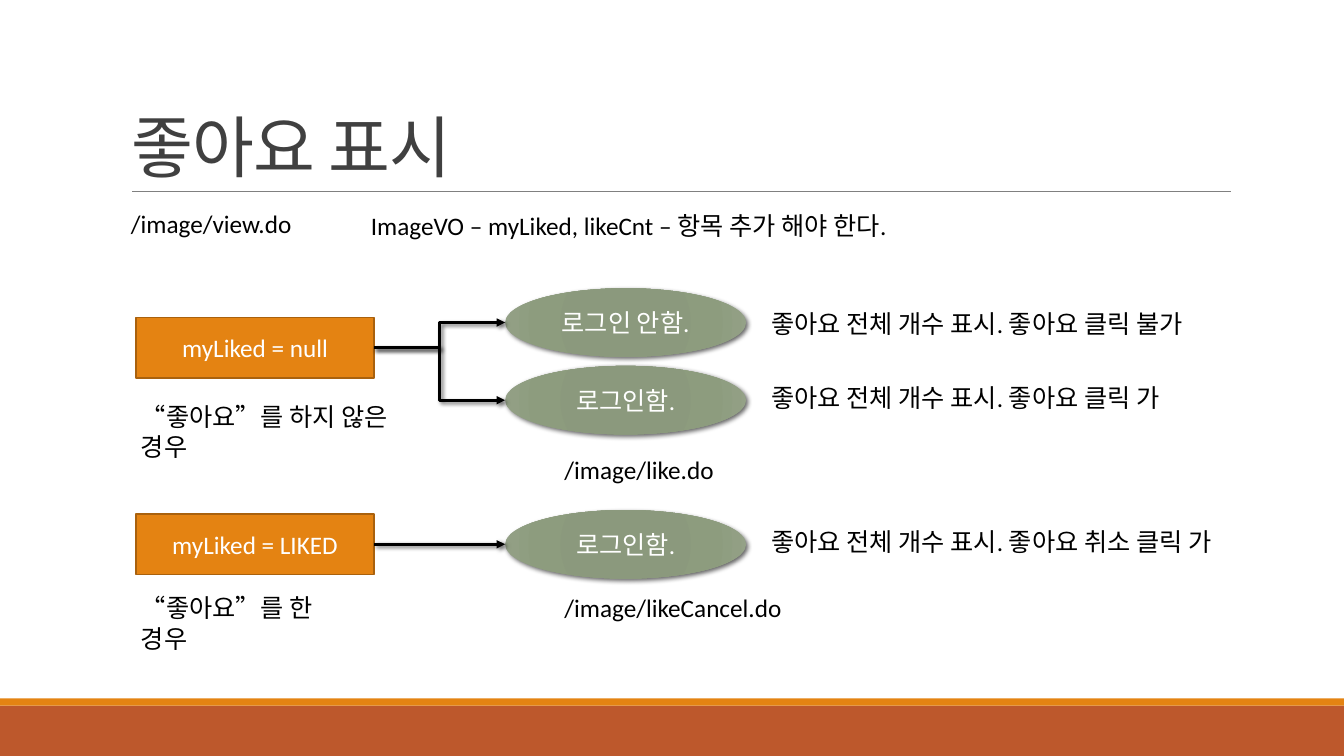
from dataclasses import dataclass

from lxml import etree
from pptx import Presentation
from pptx.dml.color import RGBColor
from pptx.enum.shapes import MSO_CONNECTOR, MSO_SHAPE
from pptx.enum.text import MSO_ANCHOR, MSO_AUTO_SIZE, PP_ALIGN
from pptx.oxml import parse_xml
from pptx.oxml.ns import nsdecls, qn
from pptx.util import Inches, Pt

RECT, OVAL = MSO_SHAPE.RECTANGLE, MSO_SHAPE.OVAL
ELBOW, STRAIGHT = MSO_CONNECTOR.ELBOW, MSO_CONNECTOR.STRAIGHT
LEFT, CENTER = PP_ALIGN.LEFT, PP_ALIGN.CENTER
MIDDLE, BOTTOM = MSO_ANCHOR.MIDDLE, MSO_ANCHOR.BOTTOM
FIT_TEXT = MSO_AUTO_SIZE.SHAPE_TO_FIT_TEXT

BLACK = RGBColor(0x00, 0x00, 0x00)
WHITE = RGBColor(0xFF, 0xFF, 0xFF)
DARK_GRAY = RGBColor(0x40, 0x40, 0x40)
GRAY = RGBColor(0x80, 0x80, 0x80)
ORANGE = RGBColor(0xE4, 0x83, 0x12)
BROWN = RGBColor(0xA9, 0x61, 0x0D)
RUST = RGBColor(0xBD, 0x58, 0x2C)
GREENS = ((0, RGBColor(0x8A, 0x98, 0x7B)), (34, RGBColor(0x8B, 0x99, 0x7D)),
          (70, RGBColor(0x8D, 0x9C, 0x7E)), (100, RGBColor(0x94, 0xA1, 0x87)))

FONT = "Calibri"
STATE_X, STATE_W, STATE_H = 1.35, 2.36, 0.6
LOGIN_X, LOGIN_W, LOGIN_H = 5.01, 2.39, 0.68
RESULT_X, LABEL_H = 7.55, 0.4


@dataclass
class Label:
    x: float
    y: float
    w: float
    text: str
    wrap: bool = False


@dataclass
class Login:
    y: float
    text: str
    result: Label


@dataclass
class State:
    y: float
    text: str
    logins: list[Login]


STATES = [
    State(3.15, "myLiked = null", [
        Login(2.86, "로그인 안함.",
              Label(RESULT_X, 3.01, 4.65, "좋아요 전체 개수 표시. 좋아요 클릭 불가")),
        Login(3.63, "로그인함.",
              Label(RESULT_X, 3.74, 4.4, "좋아요 전체 개수 표시. 좋아요 클릭 가")),
    ]),
    State(5.1, "myLiked = LIKED", [
        Login(5.06, "로그인함.",
              Label(RESULT_X, 5.17, 4.96, "좋아요 전체 개수 표시. 좋아요 취소 클릭 가")),
    ]),
]

LABELS = [
    Label(1.2, 2.02, 1.81, "/image/view.do"),
    Label(3.58, 2.04, 5.54, "ImageVO – myLiked, likeCnt – 항목 추가 해야 한다."),
    Label(1.3, 3.93, 3.16, "“좋아요”를 하지 않은 경우"),
    Label(1.3, 5.83, 2, "“좋아요”를 한 경우", wrap=True),
    Label(5.5, 4.46, 1.7, "/image/like.do"),
    Label(5.5, 5.83, 2.38, "/image/likeCancel.do"),
]


def add_text(tf, text: str, color: RGBColor, align=LEFT, size: float = 18):
    p = tf.paragraphs[0]
    p.alignment = align
    r = p.add_run()
    r.text = text
    r.font.name, r.font.size = FONT, Pt(size)
    r.font.color.rgb = color
    return r


def add_label(slide, label: Label) -> None:
    box = slide.shapes.add_textbox(Inches(label.x), Inches(label.y),
                                   Inches(label.w), Inches(LABEL_H))
    tf = box.text_frame
    tf.word_wrap = label.wrap
    tf.auto_size = FIT_TEXT
    add_text(tf, label.text, BLACK)


def add_block(slide, kind, x: float, y: float, w: float, h: float,
              fill: RGBColor | None = None, text: str = ""):
    sp = slide.shapes.add_shape(kind, Inches(x), Inches(y), Inches(w), Inches(h))
    sp.shadow.inherit = False
    sp.line.fill.background()
    if fill is not None:
        sp.fill.solid()
        sp.fill.fore_color.rgb = fill
    if text:
        sp.text_frame.word_wrap = True
        sp.text_frame.vertical_anchor = MIDDLE
        add_text(sp.text_frame, text, WHITE, CENTER)
    return sp


def add_effects(sp, blur: float | None = None) -> None:
    """Set the effect list: empty, or one soft shadow to the lower right."""
    sp_pr = sp._element.spPr
    for old in sp_pr.findall(qn("a:effectLst")):
        sp_pr.remove(old)
    effects = etree.SubElement(sp_pr, qn("a:effectLst"))
    if blur is not None:
        effects.append(parse_xml(
            f'<a:outerShdw {nsdecls("a")} blurRad="{Pt(blur)}" dist="{Pt(2)}" '
            'dir="2700000" rotWithShape="0"><a:srgbClr val="000000">'
            '<a:alpha val="60000"/></a:srgbClr></a:outerShdw>'))


def add_login(slide, login: Login) -> None:
    sp = add_block(slide, OVAL, LOGIN_X, login.y, LOGIN_W, LOGIN_H, text=login.text)
    stops = "".join(f'<a:gs pos="{pos * 1000}"><a:srgbClr val="{color}"/></a:gs>'
                    for pos, color in GREENS)
    sp._element.spPr.find(qn("a:prstGeom")).addnext(parse_xml(
        f'<a:gradFill {nsdecls("a")} rotWithShape="1"><a:gsLst>{stops}</a:gsLst>'
        '<a:path path="circle"><a:fillToRect l="100000" t="100000" '
        'r="100000" b="100000"/></a:path></a:gradFill>'))
    add_effects(sp, blur=3.5)
    add_label(slide, login.result)


def add_line(slide, kind, x1: float, y1: float, x2: float, y2: float,
             color: RGBColor, width: float):
    line = slide.shapes.add_connector(kind, Inches(x1), Inches(y1),
                                      Inches(x2), Inches(y2))
    line.line.color.rgb = color
    line.line.width = Pt(width)
    add_effects(line)
    return line


def add_arrow(slide, y1: float, y2: float) -> None:
    line = add_line(slide, ELBOW, STATE_X + STATE_W, y1, LOGIN_X, y2, BLACK, 2)
    etree.SubElement(line.line._get_or_add_ln(), qn("a:tailEnd"), type="triangle")
    add_effects(line, blur=3)


def add_title(slide, text: str) -> None:
    title = slide.shapes.title
    title.left, title.top = Inches(1.2), Inches(0.31)
    title.width, title.height = Inches(11), Inches(1.59)
    tf = title.text_frame
    tf.vertical_anchor = BOTTOM
    r = add_text(tf, text, DARK_GRAY, size=48)
    r.font._element.set("spc", "-50")
    tf.paragraphs[0].line_spacing = 0.85


def main() -> None:
    prs = Presentation()
    prs.slide_width, prs.slide_height = Inches(13.33), Inches(7.5)
    slide = prs.slides.add_slide(prs.slide_layouts[5])

    # Footer bands, title and rule
    add_block(slide, RECT, 0, 7, 13.33, 0.5, RUST)
    add_block(slide, RECT, 0, 6.93, 13.33, 0.07, ORANGE)
    add_line(slide, STRAIGHT, 1.31, 1.9, 12.21, 1.9, GRAY, 0.5)
    add_title(slide, "좋아요 표시")

    # States, each leading to its login cases
    for state in STATES:
        sp = add_block(slide, RECT, STATE_X, state.y, STATE_W, STATE_H,
                       ORANGE, state.text)
        sp.line.color.rgb = BROWN
        sp.line.width = Pt(1.25)
        for login in state.logins:
            add_login(slide, login)
            add_arrow(slide, state.y + STATE_H / 2, login.y + LOGIN_H / 2)

    # Paths and notes
    for label in LABELS:
        add_label(slide, label)

    prs.save("out.pptx")


if __name__ == "__main__":
    main()
